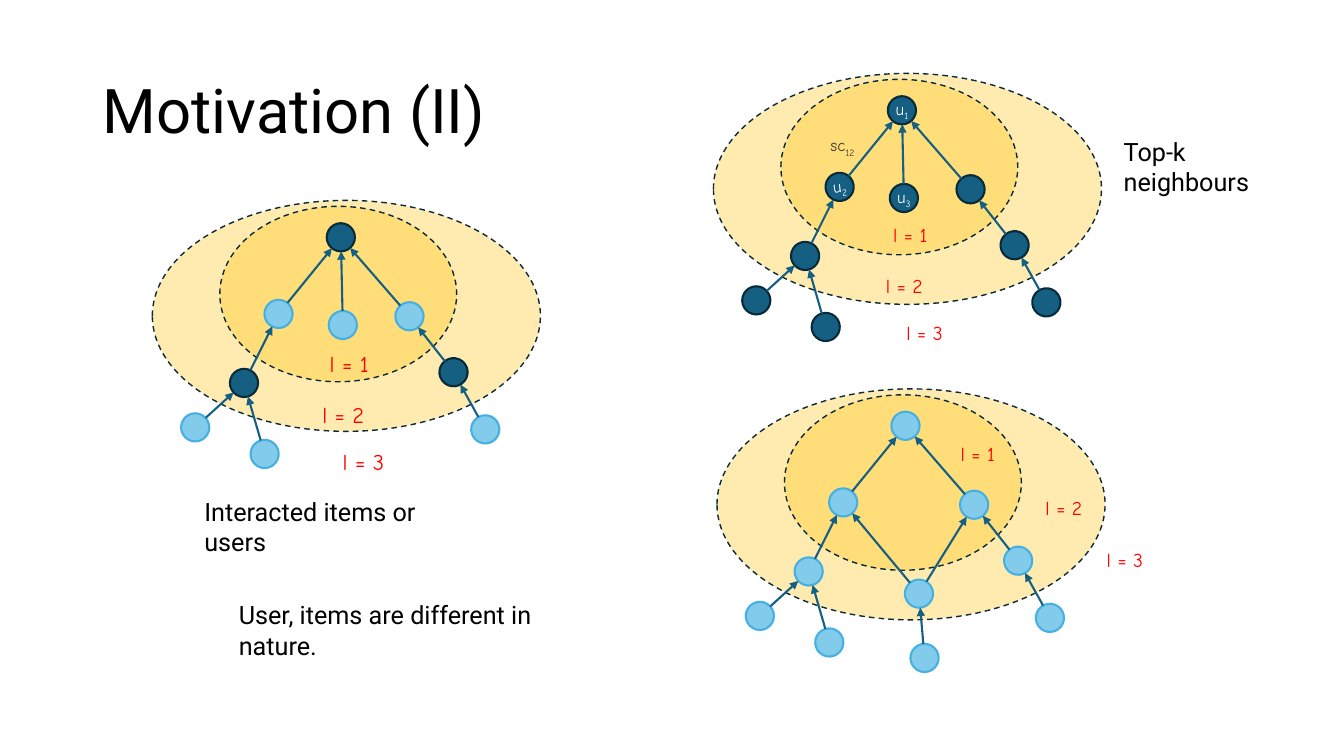
from math import hypot

from pptx import Presentation
from pptx.dml.color import RGBColor as Rgb
from pptx.enum.dml import MSO_LINE as Dash
from pptx.enum.shapes import MSO_CONNECTOR as Link, MSO_SHAPE as Kind
from pptx.enum.text import MSO_ANCHOR as Anchor, MSO_AUTO_SIZE as Fit, PP_ALIGN as Align
from pptx.oxml.ns import qn
from pptx.util import Cm, Pt
from lxml.etree import SubElement

HUES = {
    "black": "000000", "white": "FFFFFF", "grey": "3A3A3A", "red": "FF0000",
    "gold": "FFC000", "ink": "092A39",
    "dark": "156082", "light": "83CBEB", "rim": "46B1E1",
}
RIMS = {"dark": "ink", "light": "rim"}
BODY, NOTE = "Roboto", "Comic Neue"
NODE = 0.71  # diameter of a node, cm

# Centre from the corner of the outer ring in cm, then turn in degrees
SPOTS = {
    "root": (4.75, 0.93, 0), "left": (3.18, 2.86, -17.3),
    "mid": (4.8, 3.14, 0), "right": (6.48, 2.92, 0),
    "west": (2.31, 4.6, 17), "east": (7.59, 4.33, 8.8),
    "leaf a": (1.08, 5.72, 0), "leaf b": (2.83, 6.39, 26.7),
    "leaf c": (8.39, 5.77, 8.8),
    "low": (5.09, 5.16, 0), "foot": (5.23, 6.78, 0),
}
SIDES = [("left", "root"), ("right", "root"), ("west", "left"), ("east", "right"),
         ("leaf a", "west"), ("leaf b", "west"), ("leaf c", "east")]
TREE = SIDES + [("mid", "root")]
MESH = SIDES + [("low", "left"), ("low", "right"), ("foot", "low")]
STACK = [(3.78, 3.65), (3.63, 4.94), (4.14, 6.12)]
STEPS = [(5.39, 1.2), (7.56, 2.58), (9.1, 3.87)]

GRAPHS = [
    {"at": (3.84, 5.05), "edges": TREE, "dark": {"root", "west", "east"},
     "tags": {}, "marks": STACK, "size": 16},
    {"at": (17.98, 1.85), "edges": TREE, "dark": set(SPOTS),
     "tags": {"root": "u_1", "left": "u_2", "mid": "u_3"}, "marks": STACK, "size": 14},
    {"at": (18.07, 9.8), "edges": MESH, "dark": set(),
     "tags": {}, "marks": STEPS, "size": 14},
]
NOTES = [
    ("Top-k neighbours", 28.07, 3.3, 5.23),
    ("Interacted items or users", 4.9, 12.37, 7.39),
    ("User, items are different in nature.", 5.77, 14.99, 9.83),
]


def hue(name):
    return Rgb.from_string(HUES[name])


def apply(item, form):
    for key, value in form.items():
        setattr(item, key, value)


class Board:
    def __init__(self, deck):
        self.slide = deck.slides.add_slide(deck.slide_layouts[5])
        self.shapes = self.slide.shapes

    def letter(self, frame, text, font, size, tone, align=Align.LEFT):
        """Fill the frame; what follows an underscore is set as a subscript."""
        para = frame.paragraphs[0]
        para.alignment = align
        for spot, part in enumerate(text.split("_")):
            run = para.add_run()
            run.text = part
            apply(run.font, {"name": font, "size": Pt(size)})
            run.font.color.rgb = hue(tone)
            if spot:
                run._r.get_or_add_rPr().set("baseline", "-25000")

    def title(self, text):
        head = self.shapes.title
        apply(head, {"left": Cm(2.34), "top": Cm(1.02), "width": Cm(29.2), "height": Cm(3.68)})
        apply(head.text_frame, {"vertical_anchor": Anchor.MIDDLE, "auto_size": Fit.NONE})
        self.letter(head.text_frame, text, BODY, 44, "black")
        head.text_frame.paragraphs[0].line_spacing = 0.9

    def text(self, text, x, y, wide, high, font, size, tone, align=Align.LEFT, wrap=True):
        box = self.shapes.add_textbox(Cm(x), Cm(y), Cm(wide), Cm(high))
        apply(box.text_frame, {"word_wrap": wrap, "auto_size": Fit.SHAPE_TO_FIT_TEXT})
        self.letter(box.text_frame, text, font, size, tone, align)

    def oval(self, x, y, wide, high, fill, rim, weight):
        shape = self.shapes.add_shape(Kind.OVAL, Cm(x), Cm(y), Cm(wide), Cm(high))
        shape.shadow.inherit = False
        shape.fill.solid()
        shape.fill.fore_color.rgb = hue(fill)
        shape.line.color.rgb = hue(rim)
        shape.line.width = Pt(weight)
        return shape

    def ring(self, x, y, wide, high):
        shape = self.oval(x, y, wide, high, "gold", "ink", 1)
        shape.line.dash_style = Dash.DASH
        tint = shape._element.spPr.find(qn("a:solidFill")).find(qn("a:srgbClr"))
        SubElement(tint, qn("a:alpha")).set("val", "31000")

    def node(self, x, y, turn, tone, tag):
        shape = self.oval(x - NODE / 2, y - NODE / 2, NODE, NODE, tone, RIMS[tone], 1.5)
        shape.rotation = turn
        if tag:
            sides = ("left", "right", "top", "bottom")
            apply(shape.text_frame, {f"margin_{side}": 0 for side in sides})
            shape.text_frame.vertical_anchor = Anchor.MIDDLE
            self.letter(shape.text_frame, tag, NOTE, 12, "white", Align.CENTER)

    def arrow(self, x, y, to_x, to_y):
        """Join two node centres, stopping at the rim of each node."""
        span = hypot(to_x - x, to_y - y)
        dx, dy = ((to_x - x) * NODE / 2 / span, (to_y - y) * NODE / 2 / span)
        line = self.shapes.add_connector(
            Link.STRAIGHT, Cm(x + dx), Cm(y + dy), Cm(to_x - dx), Cm(to_y - dy))
        line.line.color.rgb = hue("dark")
        line.line.width = Pt(1.5)
        edge = line._element.spPr.find(qn("a:ln"))
        SubElement(edge, qn("a:tailEnd")).set("type", "triangle")
        SubElement(line._element.spPr, qn("a:effectLst"))

    def graph(self, at, edges, dark, tags, marks, size):
        left, top = at
        self.ring(left, top, 9.78, 5.82)
        self.ring(left + 1.7, top + 0.15, 5.97, 4.42)
        used = {name for edge in edges for name in edge}
        spots = {name: (left + x, top + y)
                 for name, (x, y, turn) in SPOTS.items() if name in used}
        for name, spot in spots.items():
            tone = "dark" if name in dark else "light"
            tag = tags.get(name)
            turn = -7.8 if tag == "u_2" else SPOTS[name][2]
            self.node(*spot, turn, tone, tag)
        for start, end in edges:
            self.arrow(*spots[start], *spots[end])
        for level, (x, y) in enumerate(marks, 1):
            self.text(f"l = {level}", left + x, top + y, 2.36, 0.9,
                      NOTE, size, "red", Align.CENTER)


def main():
    deck = Presentation()
    apply(deck, {"slide_width": Cm(33.87), "slide_height": Cm(19.05)})
    board = Board(deck)
    board.title("Motivation (II)")
    for graph in GRAPHS:
        board.graph(**graph)
    for text, x, y, wide in NOTES:
        board.text(text, x, y, wide, 1.02, BODY, 18, "black")
    board.text("sc_12", 20.68, 3.28, 1.22, 0.76, NOTE, 12, "grey", wrap=False)
    deck.save("out.pptx")


if __name__ == "__main__":
    main()
